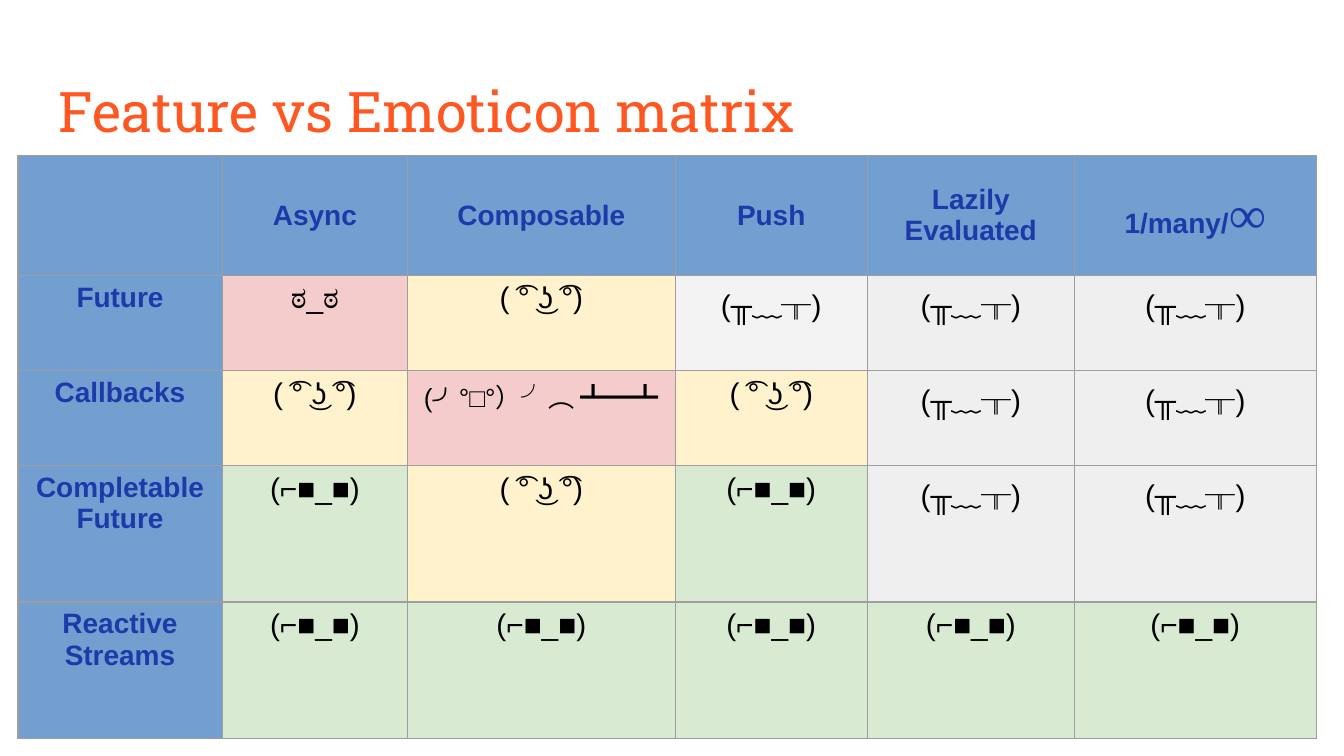
import pptx
import pptx.dml.color
import pptx.enum.text
import pptx.oxml
import pptx.oxml.ns
import pptx.util

Pt = pptx.util.Pt
COLORS = {
    "title": "FF5722", "label": "1C3AA9", "ink": "000000", "border": "9E9E9E",
    "header": "729FCF", "red": "F4CCCC", "yellow": "FFF2CC",
    "green": "D9EAD3", "gray": "EFEFEF", "light": "F3F3F3",
}

# Emoticons, each with its text size
DISAPPROVE = ("ಠ_ಠ", 16)
SMIRK = ("( ͡° ͜ʖ ͡°)", 16)
CRY = ("(╥﹏╥)", 16)
FLIP = ("(╯°□°）╯︵ ┻━┻", 14)
COOL = ("(⌐■_■)", 16)

COLUMN_WIDTHS = [109.4, 99.4, 143.3, 103, 110.9, 129.6]
ROW_HEIGHTS = [64, 51, 51, 73, 73]
FEATURES = ["", "Async", "Composable", "Push", "Lazily\nEvaluated", "1/many/"]
# Label, then an emoticon and a cell colour for each feature
APPROACHES = [
    ("Future", [(DISAPPROVE, "red"), (SMIRK, "yellow"), (CRY, "light"),
                (CRY, "gray"), (CRY, "gray")]),
    ("Callbacks", [(SMIRK, "yellow"), (FLIP, "red"), (SMIRK, "yellow"),
                   (CRY, "gray"), (CRY, "gray")]),
    ("Completable\nFuture", [(COOL, "green"), (SMIRK, "yellow"), (COOL, "green"),
                             (CRY, "gray"), (CRY, "gray")]),
    ("Reactive\nStreams", [(COOL, "green")] * 5),
]


def rgb(name):
    return pptx.dml.color.RGBColor.from_string(COLORS[name])


class SlideBuilder:
    def __init__(self, slide):
        self.slide = slide

    def style(self, font, size, color, bold=False, name="Arial"):
        font.size, font.name, font.bold = Pt(size), name, bold
        font.color.rgb = rgb(color)

    def title(self, text, left, top, width, height):
        frame = self.slide.shapes.add_textbox(
            Pt(left), Pt(top), Pt(width), Pt(height)).text_frame
        frame.word_wrap = True
        frame.margin_left = frame.margin_right = Pt(7.2)
        frame.margin_top = Pt(5.5)
        frame.text = text
        self.style(frame.paragraphs[0].font, 30, "title", name="Roboto Slab")

    def table(self, left, top, widths, heights):
        grid = self.slide.shapes.add_table(
            len(heights), len(widths), Pt(left), Pt(top),
            Pt(sum(widths)), Pt(sum(heights))).table
        grid.first_row = grid.horz_banding = False
        for column, width in zip(grid.columns, widths):
            column.width = Pt(width)
        for row, height in zip(grid.rows, heights):
            row.height = Pt(height)
        return grid

    def cell(self, cell, text, fill, size=15, color="label", bold=True):
        cell.margin_left = cell.margin_right = Pt(7.2)
        cell.margin_top = cell.margin_bottom = Pt(3.6)
        self.borders(cell)
        cell.fill.solid()
        cell.fill.fore_color.rgb = rgb(fill)
        cell.text = text
        for paragraph in cell.text_frame.paragraphs:
            paragraph.alignment = pptx.enum.text.PP_ALIGN.CENTER
            self.style(paragraph.font, size, color, bold)

    def borders(self, cell):
        properties = cell._tc.get_or_add_tcPr()
        for side in ("lnL", "lnR", "lnT", "lnB"):
            properties.append(pptx.oxml.parse_xml(
                f'<a:{side} {pptx.oxml.ns.nsdecls("a")} w="{Pt(0.75)}"><a:solidFill>'
                f'<a:srgbClr val="{COLORS["border"]}"/></a:solidFill></a:{side}>'))


def main():
    deck = pptx.Presentation()
    deck.slide_width, deck.slide_height = Pt(720), Pt(405)
    builder = SlideBuilder(deck.slides.add_slide(deck.slide_layouts[6]))

    # Feature matrix
    matrix = builder.table(9.6, 83.5, COLUMN_WIDTHS, ROW_HEIGHTS)

    # Header row
    for column, feature in enumerate(FEATURES):
        header = matrix.cell(0, column)
        builder.cell(header, feature, "header")
        header.vertical_anchor = pptx.enum.text.MSO_ANCHOR.MIDDLE
    infinity = matrix.cell(0, 5).text_frame.paragraphs[0].add_run()
    infinity.text = "∞"
    builder.style(infinity.font, 28, "label", name="Times New Roman")

    # One row for each approach
    for row, (approach, ratings) in enumerate(APPROACHES, start=1):
        builder.cell(matrix.cell(row, 0), approach, "header")
        for column, ((emoticon, size), fill) in enumerate(ratings, start=1):
            builder.cell(matrix.cell(row, column), emoticon, fill, size, "ink", False)

    # Title
    builder.title("Feature vs Emoticon matrix", 24.5, 35.3, 671, 45.4)
    deck.save("out.pptx")


if __name__ == "__main__":
    main()
